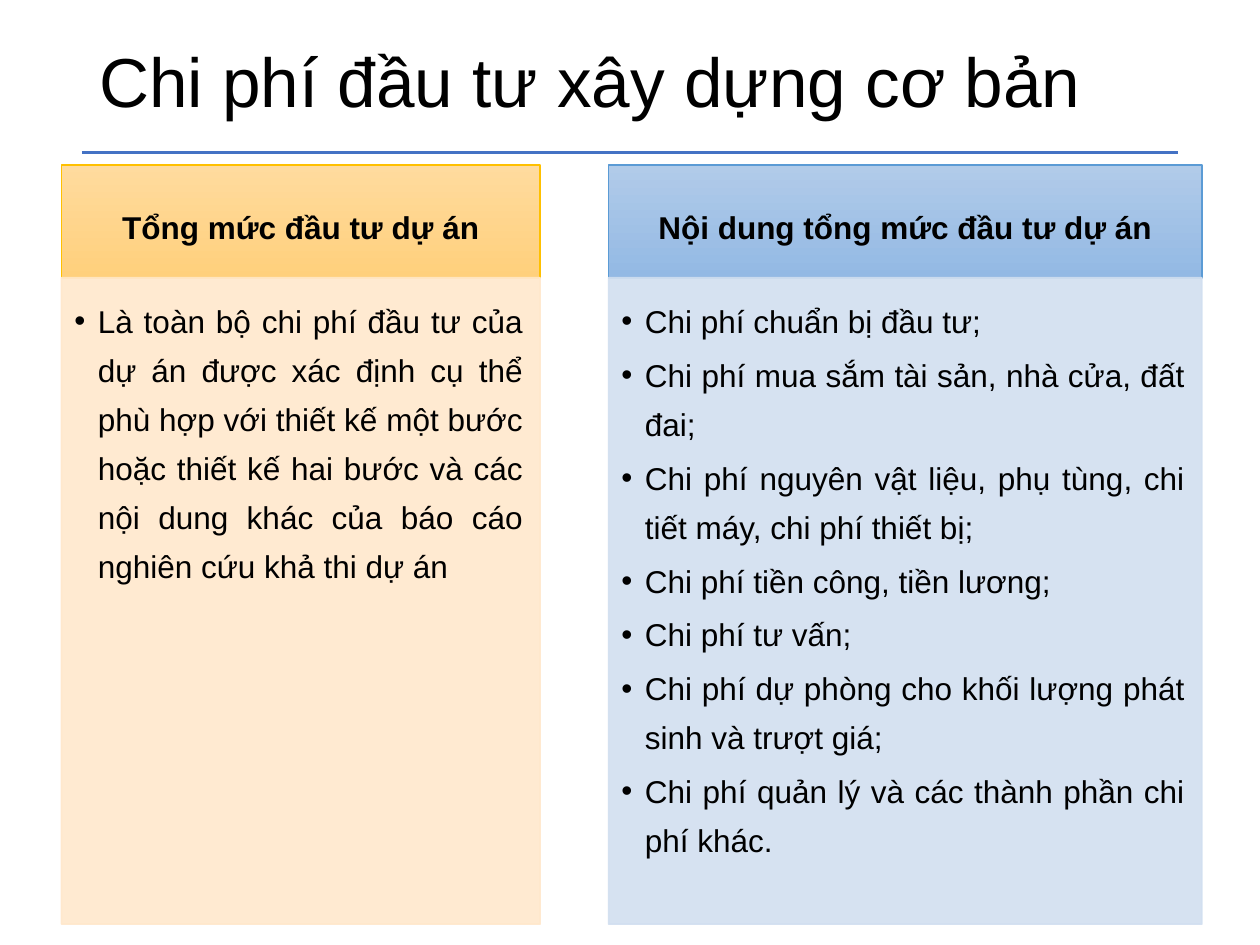
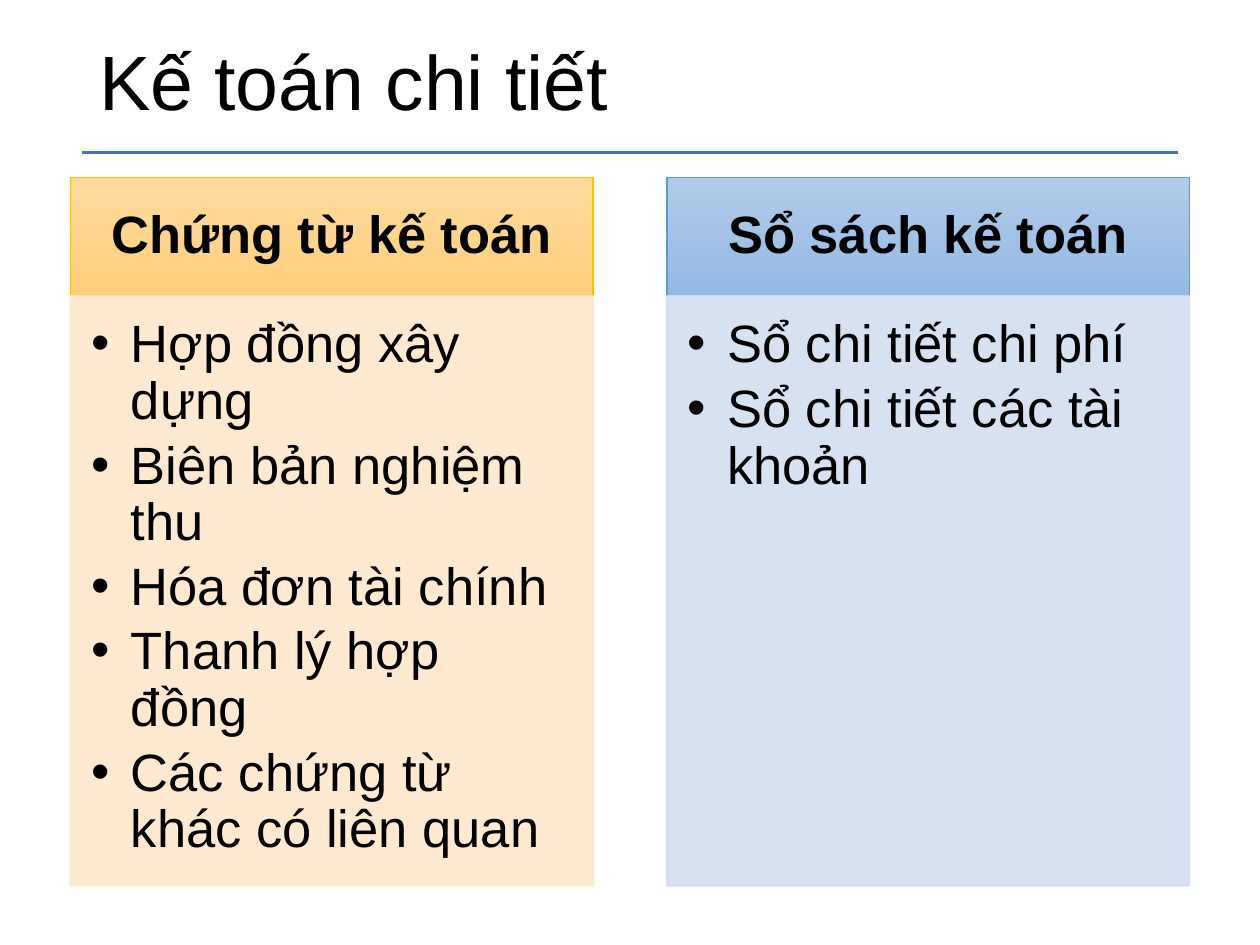
from dataclasses import dataclass

from lxml.etree import SubElement
from pptx import Presentation
from pptx.dml.color import RGBColor
from pptx.enum.shapes import MSO_CONNECTOR, MSO_SHAPE
from pptx.enum.text import MSO_ANCHOR, PP_ALIGN
from pptx.oxml.ns import qn
from pptx.util import Cm, Pt


@dataclass(frozen=True)
class Accent:
    top: str
    bottom: str
    border: str
    body: str


@dataclass(frozen=True)
class Theme:
    font: str = "Arial"
    text: str = "000000"
    rule: str = "4472C4"
    accents: tuple = (
        Accent("FFDB9E", "FFD07C", "FFC000", "FFE8CC"),
        Accent("B1CBE9", "93B9E4", "5B9BD5", "D2DFF0"),
    )
    body_alpha: int = 90000
    title_long: float = 39.6
    title_short: float = 44
    column_small: float = 18
    column_large: float = 30


theme = Theme()


def rgb(value):
    return RGBColor.from_string(value)


def set_text(tf, lines, size, margins, anchor, align, spacing, after=0, bold=False):
    """Fill a frame with paragraphs; margins are left, top, right, bottom in cm."""
    tf.word_wrap = True
    tf.vertical_anchor = anchor
    tf.margin_left, tf.margin_top, tf.margin_right, tf.margin_bottom = map(Cm, margins)
    tf.text = "\n".join(lines)
    for p in tf.paragraphs:
        p.alignment, p.line_spacing, p.space_after = align, spacing, Pt(after)
        for r in p.runs:
            r.font.name, r.font.size, r.font.bold = theme.font, Pt(size), bold
            r.font.color.rgb = rgb(theme.text)


# Column positions are (left, width); all lengths are in cm.
slides = [
    dict(
        title="Chi phí đầu tư xây dựng cơ bản", title_size=theme.title_long,
        size=theme.column_small, spacing=1.3, align=PP_ALIGN.JUSTIFY,
        top=3.33, header_height=2.27, body_height=13.03,
        columns=[
            (1.24, 9.65, "Tổng mức đầu tư dự án", [
                "Là toàn bộ chi phí đầu tư của dự án được xác định cụ thể phù hợp "
                "với thiết kế một bước hoặc thiết kế hai bước và các nội dung khác "
                "của báo cáo nghiên cứu khả thi dự án",
            ]),
            (12.27, 11.96, "Nội dung tổng mức đầu tư dự án", [
                "Chi phí chuẩn bị đầu tư;",
                "Chi phí mua sắm tài sản, nhà cửa, đất đai;",
                "Chi phí nguyên vật liệu, phụ tùng, chi tiết máy, chi phí thiết bị;",
                "Chi phí tiền công, tiền lương;",
                "Chi phí tư vấn;",
                "Chi phí dự phòng cho khối lượng phát sinh và trượt giá;",
                "Chi phí quản lý và các thành phần chi phí khác.",
            ]),
        ],
    ),
    dict(
        title="Kế toán chi tiết", title_size=theme.title_short,
        size=theme.column_large, spacing=0.9, align=PP_ALIGN.LEFT,
        top=3.58, header_height=2.39, body_height=11.89,
        columns=[
            (1.42, 10.54, "Chứng từ kế toán", [
                "Hợp đồng xây dựng",
                "Biên bản nghiệm thu",
                "Hóa đơn tài chính",
                "Thanh lý hợp đồng",
                "Các chứng từ khác có liên quan",
            ]),
            (13.44, 10.54, "Sổ sách kế toán", [
                "Sổ chi tiết chi phí",
                "Sổ chi tiết các tài khoản",
            ]),
        ],
    ),
]

prs = Presentation()
prs.slide_width, prs.slide_height = Cm(25.4), Cm(19.05)

for spec_ in slides:
    s = prs.slides.add_slide(prs.slide_layouts[6])

    rule = s.shapes.add_connector(MSO_CONNECTOR.STRAIGHT, Cm(1.65), Cm(3.07), Cm(23.75), Cm(3.07))
    rule.line.color.rgb = rgb(theme.rule)
    rule.line.width = Pt(1.5)
    SubElement(rule._element.spPr, qn("a:effectLst"))

    title = s.shapes.add_textbox(Cm(1.75), Cm(0.38), Cm(21.9), Cm(2.69))
    set_text(title.text_frame, [spec_["title"]], spec_["title_size"],
             (0.25, 0.13, 0.25, 0.13), MSO_ANCHOR.MIDDLE, PP_ALIGN.LEFT, 0.9)

    # Insets and indents grow with the type size of the columns.
    size, spacing = spec_["size"], spec_["spacing"]
    em = size / 30
    side, indent = 0.58 * em, Cm(0.79 * em)
    header_margins = (side, 0.33 * em, side, 0.33 * em)
    body_margins = (0.43 * em, 0.43 * em, side, 0.66 * em)
    body_top = spec_["top"] + spec_["header_height"]

    for accent, (left, width, heading, items) in zip(theme.accents, spec_["columns"]):
        header = s.shapes.add_shape(MSO_SHAPE.RECTANGLE, Cm(left), Cm(spec_["top"]),
                                    Cm(width), Cm(spec_["header_height"]))
        header.fill.gradient()
        header.fill.gradient_angle = 270
        for stop, color in zip(header.fill.gradient_stops, (accent.top, accent.bottom)):
            stop.color.rgb = rgb(color)
        header.line.color.rgb = rgb(accent.border)
        set_text(header.text_frame, [heading], size, header_margins,
                 MSO_ANCHOR.MIDDLE, PP_ALIGN.CENTER, spacing, bold=True)

        body = s.shapes.add_shape(MSO_SHAPE.RECTANGLE, Cm(left), Cm(body_top),
                                  Cm(width), Cm(spec_["body_height"]))
        body.fill.solid()
        body.fill.fore_color.rgb = rgb(accent.body)
        body.line.color.rgb = rgb(accent.body)
        for color in body._element.spPr.iter(qn("a:srgbClr")):
            SubElement(color, qn("a:alpha"), val=str(theme.body_alpha))
        set_text(body.text_frame, items, size, body_margins,
                 MSO_ANCHOR.TOP, spec_["align"], spacing, after=0.15 * size)
        for p in body.text_frame.paragraphs:
            pPr = p._p.get_or_add_pPr()
            pPr.set("marL", str(indent))
            pPr.set("indent", str(-indent))
            SubElement(pPr, qn("a:buFont"), typeface=theme.font)
            SubElement(pPr, qn("a:buChar"), char="•")

        for sp in (header, body):
            sp.line.width = Pt(1)
            sp.shadow.inherit = False

prs.save("out.pptx")
